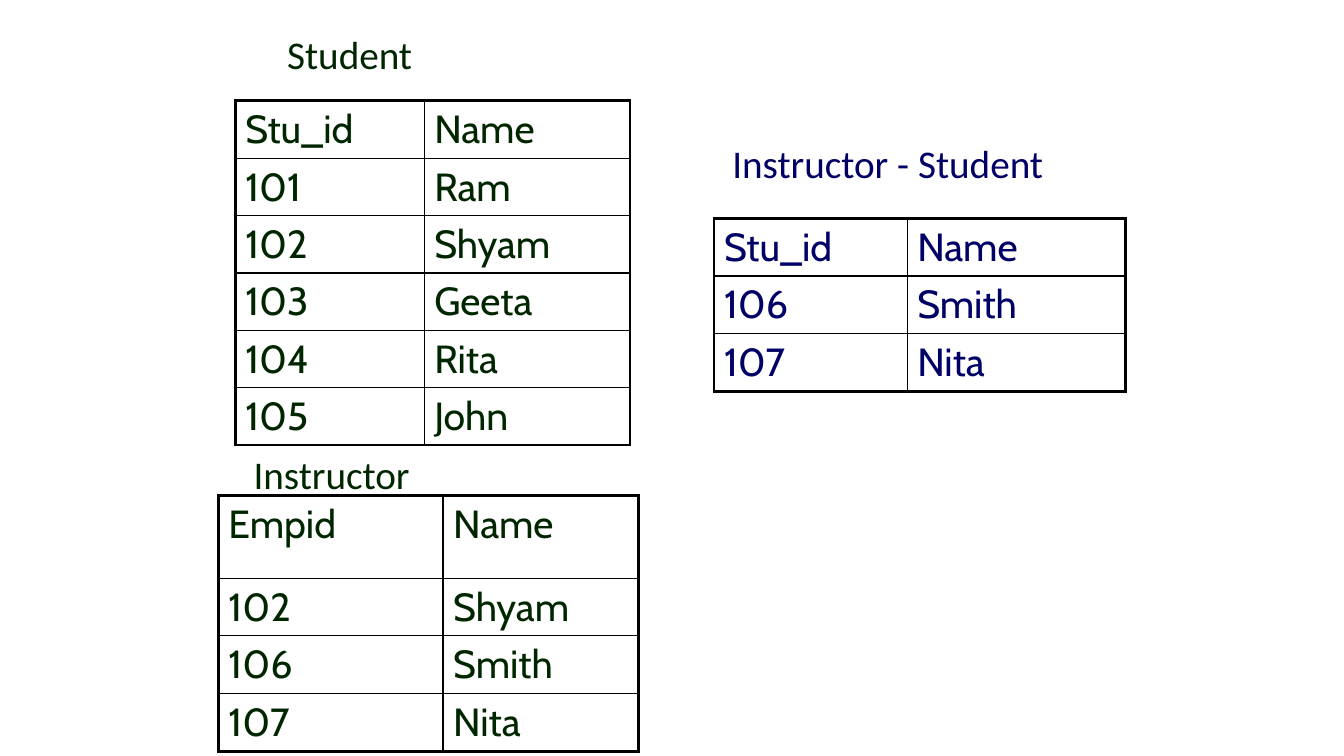
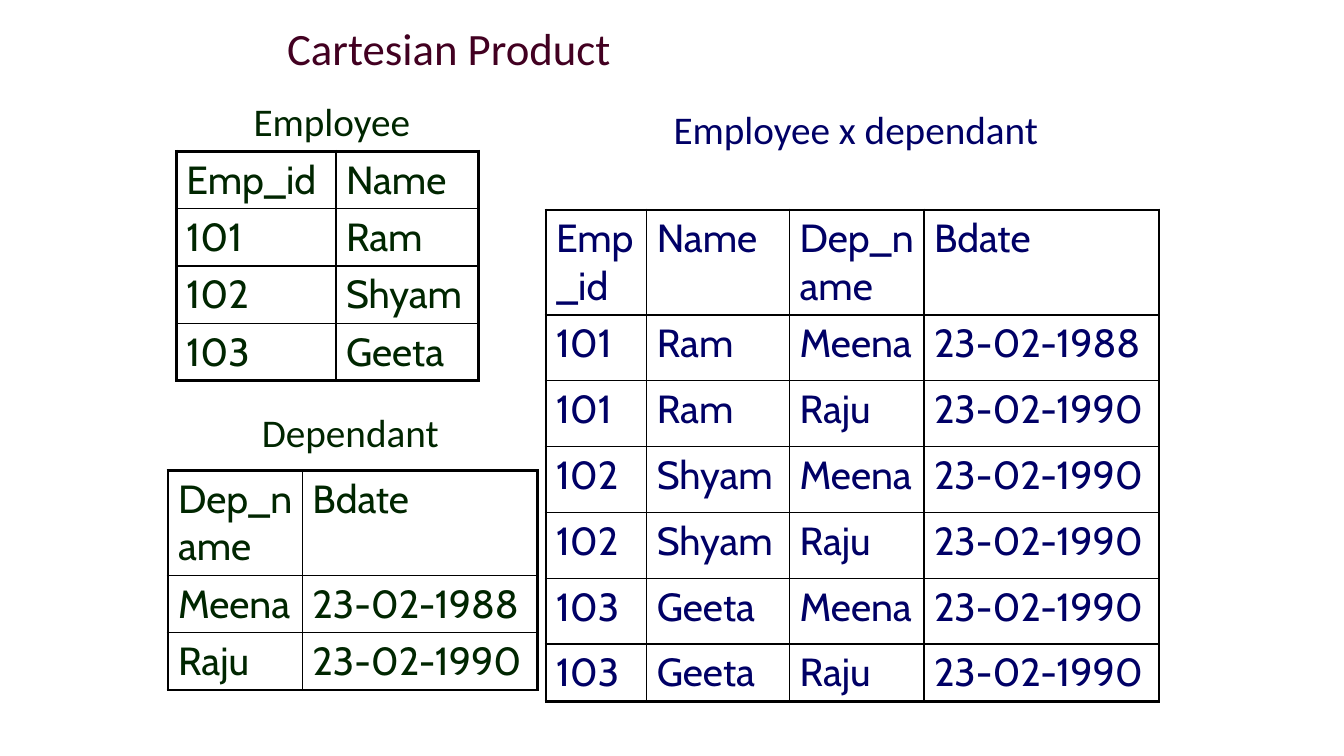
from dataclasses import dataclass

from lxml import etree
from pptx import Presentation
from pptx.dml.color import RGBColor
from pptx.enum.text import MSO_AUTO_SIZE
from pptx.oxml.ns import qn
from pptx.util import Pt

FIT_SHAPE = MSO_AUTO_SIZE.SHAPE_TO_FIT_TEXT


@dataclass(frozen=True)
class Theme:
    source: str = "002600"
    result: str = "000066"
    title: str = "420021"
    border: str = "000000"
    heading_font: str = "Calibri"
    table_font: str = "Cabin"
    title_size: int = 32
    text_size: int = 28
    outer_line: float = 2.25
    inner_line: float = 1
    row: float = 41
    caption_height: float = 41


class Deck:
    def __init__(self, theme):
        self.theme = theme
        self.prs = Presentation()
        self.prs.slide_width, self.prs.slide_height = Pt(960), Pt(540)
        self.s = None

    def slide(self):
        self.s = self.prs.slides.add_slide(self.prs.slide_layouts[6])

    def add_text(self, tf, text, name, size, color):
        r = tf.paragraphs[0].add_run()
        r.text = text
        for key, value in {"name": name, "size": Pt(size), "bold": False}.items():
            setattr(r.font, key, value)
        r.font.color.rgb = RGBColor.from_string(color)

    def caption(self, text, x, y, w=190, color=None, size=None):
        t = self.theme
        sp = self.s.shapes.add_textbox(Pt(x), Pt(y), Pt(w), Pt(t.caption_height))
        tf = sp.text_frame
        tf.word_wrap = True
        tf.auto_size = FIT_SHAPE
        self.add_text(tf, text, t.heading_font, size or t.text_size, color or t.source)

    def border(self, cell, side, outer):
        t = self.theme
        width = Pt(t.outer_line if outer else t.inner_line)
        tc_pr = cell._tc.get_or_add_tcPr()
        ln = etree.SubElement(tc_pr, qn(f"a:ln{side}"), w=str(width))
        fill = etree.SubElement(ln, qn("a:solidFill"))
        etree.SubElement(fill, qn("a:srgbClr"), val=t.border)

    def table(self, rows, x, y, widths, color=None, header=None, body=None):
        """Draw a ruled table; header and body override the usual row height."""
        t = self.theme
        last_row, last_col = len(rows) - 1, len(widths) - 1
        heights = [header or t.row] + [body or t.row] * (last_row - 1) + [t.row]
        frame = self.s.shapes.add_table(len(rows), len(widths), Pt(x), Pt(y),
                                        Pt(sum(widths)), Pt(sum(heights)))
        tbl = frame.table
        tbl.first_row = tbl.horz_banding = False
        for col, width in zip(tbl.columns, widths):
            col.width = Pt(width)
        for i, (values, height) in enumerate(zip(rows, heights)):
            tbl.rows[i].height = Pt(height)
            for j, value in enumerate(values):
                cell = tbl.cell(i, j)
                edges = {"L": j == 0, "R": j == last_col,
                         "T": i == 0, "B": i == last_row}
                for side, outer in edges.items():
                    self.border(cell, side, outer)
                cell.fill.background()
                self.add_text(cell.text_frame, value, t.table_font, t.text_size,
                              color or t.source)


def difference_slide(deck):
    t = deck.theme
    students = [("101", "Ram"), ("102", "Shyam"), ("103", "Geeta"),
                ("104", "Rita"), ("105", "John")]
    instructors = [("102", "Shyam"), ("106", "Smith"), ("107", "Nita")]
    student_ids = [number for number, _ in students]
    difference = [row for row in instructors if row[0] not in student_ids]
    student_head = ("Stu_id", "Name")

    deck.slide()
    deck.table([student_head] + difference, 510, 156, (138, 156), t.result)
    deck.table([("Empid", "Name")] + instructors, 156, 354, (160.5, 139.5), header=59)
    deck.caption("Student", 198, 18)
    deck.caption("Instructor", 174, 318)
    deck.table([student_head] + students, 168, 72, (135, 147))
    deck.caption("Instructor - Student", 516, 96, 270, t.result)


def product_slide(deck):
    t = deck.theme
    employee_head, dependant_head = ("Emp_id", "Name"), ("Dep_name", "Bdate")
    employees = [("101", "Ram"), ("102", "Shyam"), ("103", "Geeta")]
    dependants = [("Meena", "23-02-1988"), ("Raju", "23-02-1990")]
    dates = ["23-02-1988"] + ["23-02-1990"] * 5
    pairs = [e + (d[0],) for e in employees for d in dependants]
    product = [pair + (date,) for pair, date in zip(pairs, dates)]

    deck.slide()
    deck.table([dependant_head] + dependants, 120, 336, (96, 168), header=75)
    deck.caption("Cartesian Product", 198, 11, 360, t.title, t.title_size)
    deck.caption("Employee", 174, 66)
    deck.table([employee_head] + employees, 126, 108, (114, 102))
    deck.caption("Employee х dependant", 474, 72, 300, t.result)
    deck.caption("Dependant", 180, 288)
    deck.table([employee_head + dependant_head] + product, 390, 150,
               (72, 102, 96, 168), t.result, header=75, body=47)


def main():
    deck = Deck(Theme())
    difference_slide(deck)
    product_slide(deck)
    deck.prs.save("out.pptx")


if __name__ == "__main__":
    main()
